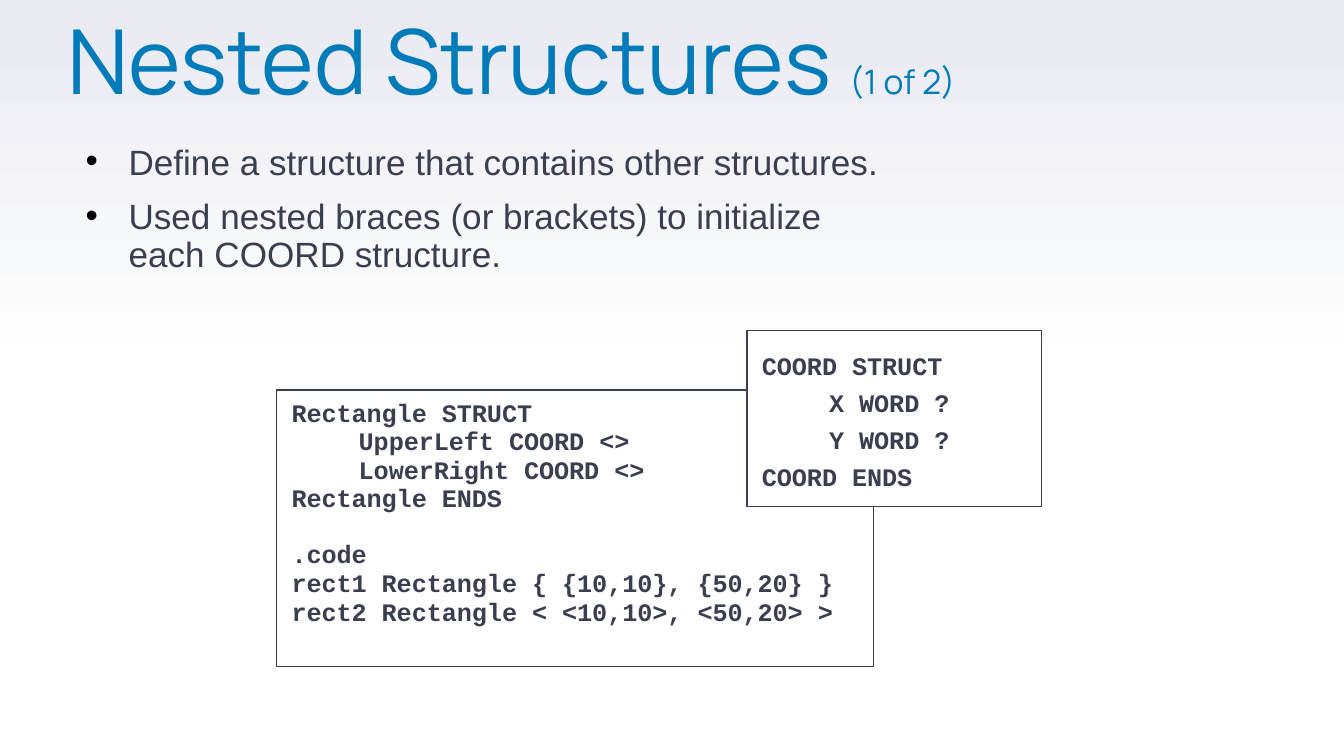
import pptx
import pptx.util
import pptx.dml.color
import pptx.enum.shapes
import pptx.enum.text
import pptx.oxml
import pptx.oxml.ns

Cm = pptx.util.Cm
Pt = pptx.util.Pt
RGB = pptx.dml.color.RGBColor

BLUE = RGB(0x00, 0x7B, 0xB9)
INK = RGB(0x3A, 0x3F, 0x50)
WHITE = RGB(0xFF, 0xFF, 0xFF)
MIST = RGB(0xE9, 0xEA, 0xF2)

BULLET = ('<a:buClr %s><a:srgbClr val="000000"/></a:buClr>',
          '<a:buFont %s typeface="Arial"/>',
          '<a:buChar %s char="•"/>')
TABS = '<a:tabLst %s><a:tab pos="{}" algn="l"/></a:tabLst>'


class Deck:
    """Holds the style and the current slide."""

    head, text, code = "Manrope", "Arial", "Courier New"

    def __init__(self, wide, high):
        self.file = pptx.Presentation()
        self.file.slide_width, self.file.slide_height = Cm(wide), Cm(high)
        self.slide = self.file.slides.add_slide(self.file.slide_layouts[1])

    def place(self, shape, box, pads):
        shape.left, shape.top, shape.width, shape.height = map(Cm, box)
        frame = shape.text_frame
        frame.word_wrap = True
        frame.auto_size = pptx.enum.text.MSO_AUTO_SIZE.NONE
        frame.vertical_anchor = pptx.enum.text.MSO_ANCHOR.TOP
        side, top = map(Cm, pads)
        frame.margin_left = frame.margin_right = side
        frame.margin_top = frame.margin_bottom = top
        return frame

    def style(self, run, name, size, color, bold=False):
        font = run.font
        font.name, font.size, font.bold = name, Pt(size), bold
        font.color.rgb = color

    def extend(self, para, *parts):
        props = para._p.get_or_add_pPr()
        for part in parts:
            tag = part.replace("%s", pptx.oxml.ns.nsdecls("a"))
            props.append(pptx.oxml.parse_xml(tag))
        return props

    def backdrop(self, low, high):
        fill = self.slide.background.fill
        fill.gradient()
        fill.gradient_angle = 90
        for stop, color, place in zip(fill.gradient_stops, (low, high), (0.5, 1)):
            stop.color.rgb, stop.position = color, place

    def title(self, box, parts):
        frame = self.place(self.slide.shapes.title, box, (0, 0))
        para = frame.paragraphs[0]
        para.alignment = pptx.enum.text.PP_ALIGN.LEFT
        para.line_spacing = 0.8
        for words, size in parts:
            run = para.add_run()
            run.text = words
            self.style(run, self.head, size, BLUE)

    def bullets(self, box, items):
        frame = self.place(self.slide.placeholders[1], box, (0.25, 0.28))
        frame.text = "\n".join(words for words, _ in items)
        for para, (_, space) in zip(frame.paragraphs, items):
            para.line_spacing, para.space_before = space, Pt(9.4)
            props = self.extend(para, *BULLET)
            props.set("marL", str(Cm(0.81)))
            props.set("indent", str(Cm(-0.81)))
            self.style(para.runs[0], self.text, 18.8, INK)

    def listing(self, box, lines, space, gap, fill=None, breaks=()):
        rect = pptx.enum.shapes.MSO_SHAPE.RECTANGLE
        shape = self.slide.shapes.add_shape(rect, 0, 0, 0, 0)
        shape.shadow.inherit = False
        shape.line.color.rgb, shape.line.width = INK, Pt(0.75)
        if fill is None:
            shape.fill.background()
        else:
            shape.fill.solid()
            shape.fill.fore_color.rgb = fill
        frame = self.place(shape, box, (0.28, 0.38))
        frame.text = "\n".join(lines)
        for row, para in enumerate(frame.paragraphs):
            para.alignment = pptx.enum.text.PP_ALIGN.LEFT
            para.line_spacing = space
            # A break leaves the height of one more line
            para.space_before = Pt(gap + 14.8 * (row in breaks))
            self.extend(para, TABS.format(Cm(1.27)))
            self.style(para.runs[0], self.code, 13.5, INK, True)


def main():
    deck = Deck(25.4, 14.29)
    deck.backdrop(WHITE, MIST)

    # Heading and points
    deck.title((1.27, 0.48, 22.76, 3),
               [("Nested Structures ", 48), ("(1 of 2)", 18)])
    deck.bullets((1.37, 2.59, 16.03, 2.97), [
        ("Define a structure that contains other structures.", 0.7),
        ("Used nested braces (or brackets) to initialize each "
         "COORD structure.", 0.9)])

    # Outer structure with its data
    deck.listing((5.23, 7.37, 11.28, 5.23), [
        "Rectangle STRUCT",
        "\tUpperLeft COORD <>",
        "\tLowerRight COORD <>",
        "Rectangle ENDS",
        ".code",
        "rect1 Rectangle { {10,10}, {50,20} }",
        "rect2 Rectangle < <10,10>, <50,20> >"], 0.5, 7.2, breaks=(4,))

    # Inner structure on top
    deck.listing((14.12, 6.25, 5.56, 3.33), [
        "COORD STRUCT",
        "\tX WORD ?",
        "\tY WORD ?",
        "COORD ENDS"], 1, 3.6, WHITE)

    deck.file.save("out.pptx")


if __name__ == "__main__":
    main()
